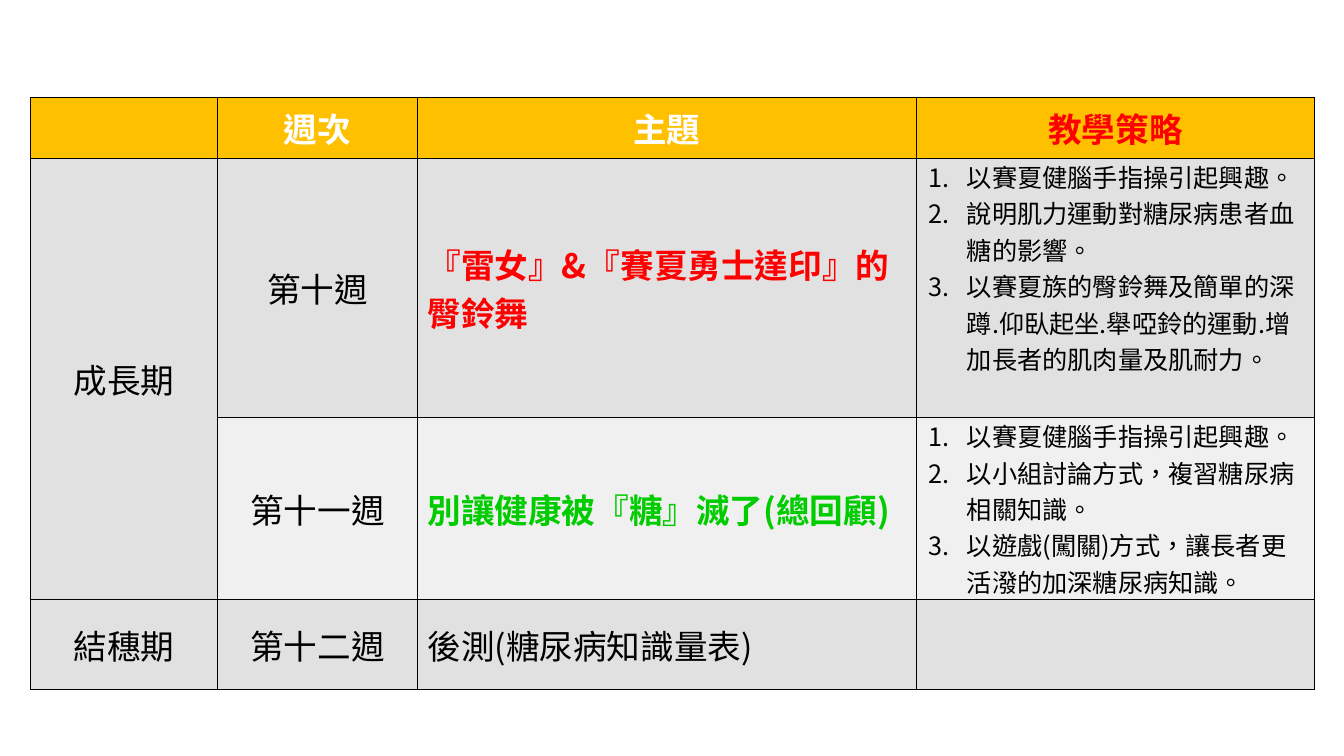
from lxml import etree
from pptx import Presentation
from pptx.dml.color import RGBColor
from pptx.enum.text import MSO_ANCHOR, PP_ALIGN
from pptx.oxml.ns import qn
from pptx.util import Inches, Pt

CENTER, LEFT = PP_ALIGN.CENTER, PP_ALIGN.LEFT
MIDDLE, TOP = MSO_ANCHOR.MIDDLE, MSO_ANCHOR.TOP
FONT = "Noto Sans CJK SC"
BLACK, WHITE, RED, GREEN = "000000", "FFFFFF", "FF0000", "00CC00"
AMBER, GREY, PALE = "FFC000", "E1E1E1", "F0F0F0"


def rgb(color):
    return RGBColor.from_string(color)


def write(cell, *lines, size=24, color=BLACK, bold=False, align=CENTER,
          anchor=MIDDLE, numbered=False):
    """Fill a cell with one paragraph per line, numbered if asked."""
    cell.vertical_anchor = anchor
    tf = cell.text_frame
    for i, line in enumerate(lines):
        p = tf.paragraphs[0] if i == 0 else tf.add_paragraph()
        p.alignment = align
        r = p.add_run()
        r.text = line
        r.font.size, r.font.bold, r.font.name = Pt(size), bold, FONT
        r.font.color.rgb = rgb(color)
        rPr = r._r.get_or_add_rPr()
        rPr.set("lang", "zh-TW")
        etree.SubElement(rPr, qn("a:ea"), typeface=FONT)
        if numbered:
            pPr = p._p.get_or_add_pPr()
            pPr.set("marL", str(Inches(0.38)))
            pPr.set("indent", str(-Inches(0.38)))
            etree.SubElement(pPr, qn("a:buFont"), typeface=FONT)
            etree.SubElement(pPr, qn("a:buAutoNum"), type="arabicPeriod")


prs = Presentation()
prs.slide_width, prs.slide_height = Inches(13.33), Inches(7.5)
s = prs.slides.add_slide(prs.slide_layouts[6])

col_widths = [1.86, 1.98, 4.95, 3.95]
row_heights = [0.6, 2.57, 1.81, 0.89]
row_fills = [AMBER, GREY, PALE, GREY]
table = s.shapes.add_table(
    len(row_heights), len(col_widths), Inches(0.3), Inches(0.97),
    Inches(sum(col_widths)), Inches(sum(row_heights))).table
table.first_row = table.horz_banding = False
for col, width in zip(table.columns, col_widths):
    col.width = Inches(width)

for row, height, fill in zip(table.rows, row_heights, row_fills):
    row.height = Inches(height)
    for cell in row.cells:
        tcPr = cell._tc.get_or_add_tcPr()
        for side in ("lnL", "lnR", "lnT", "lnB"):
            ln = etree.SubElement(tcPr, qn(f"a:{side}"), w=str(Pt(1)))
            solid = etree.SubElement(ln, qn("a:solidFill"))
            etree.SubElement(solid, qn("a:srgbClr"), val=BLACK)
        cell.fill.solid()
        cell.fill.fore_color.rgb = rgb(fill)

headers = [("週次", WHITE), ("主題", WHITE), ("教學策略", RED)]
for c, (text, color) in enumerate(headers, start=1):
    write(table.cell(0, c), text, color=color, bold=True)

table.cell(1, 0).merge(table.cell(2, 0))
write(table.cell(1, 0), "成長期")
write(table.cell(3, 0), "結穗期")

weeks = [
    ("第十週", "『雷女』&『賽夏勇士達印』的臀鈴舞", RED, [
        "以賽夏健腦手指操引起興趣。",
        "說明肌力運動對糖尿病患者血糖的影響。",
        "以賽夏族的臀鈴舞及簡單的深蹲.仰臥起坐.舉啞鈴的運動.增加長者的肌肉量及肌耐力。"]),
    ("第十一週", "別讓健康被『糖』滅了(總回顧)", GREEN, [
        "以賽夏健腦手指操引起興趣。",
        "以小組討論方式，複習糖尿病相關知識。",
        "以遊戲(闖關)方式，讓長者更活潑的加深糖尿病知識。"]),
    ("第十二週", "後測(糖尿病知識量表)", BLACK, []),
]
for r, (week, topic, color, strategies) in enumerate(weeks, start=1):
    write(table.cell(r, 1), week)
    write(table.cell(r, 2), topic, color=color, bold=color != BLACK, align=LEFT)
    if strategies:
        cell = table.cell(r, 3)
        cell.margin_left = cell.margin_right = Inches(0.12)
        cell.margin_top = cell.margin_bottom = 0
        write(cell, *strategies, size=18, align=LEFT, anchor=TOP, numbered=True)

prs.save("out.pptx")
